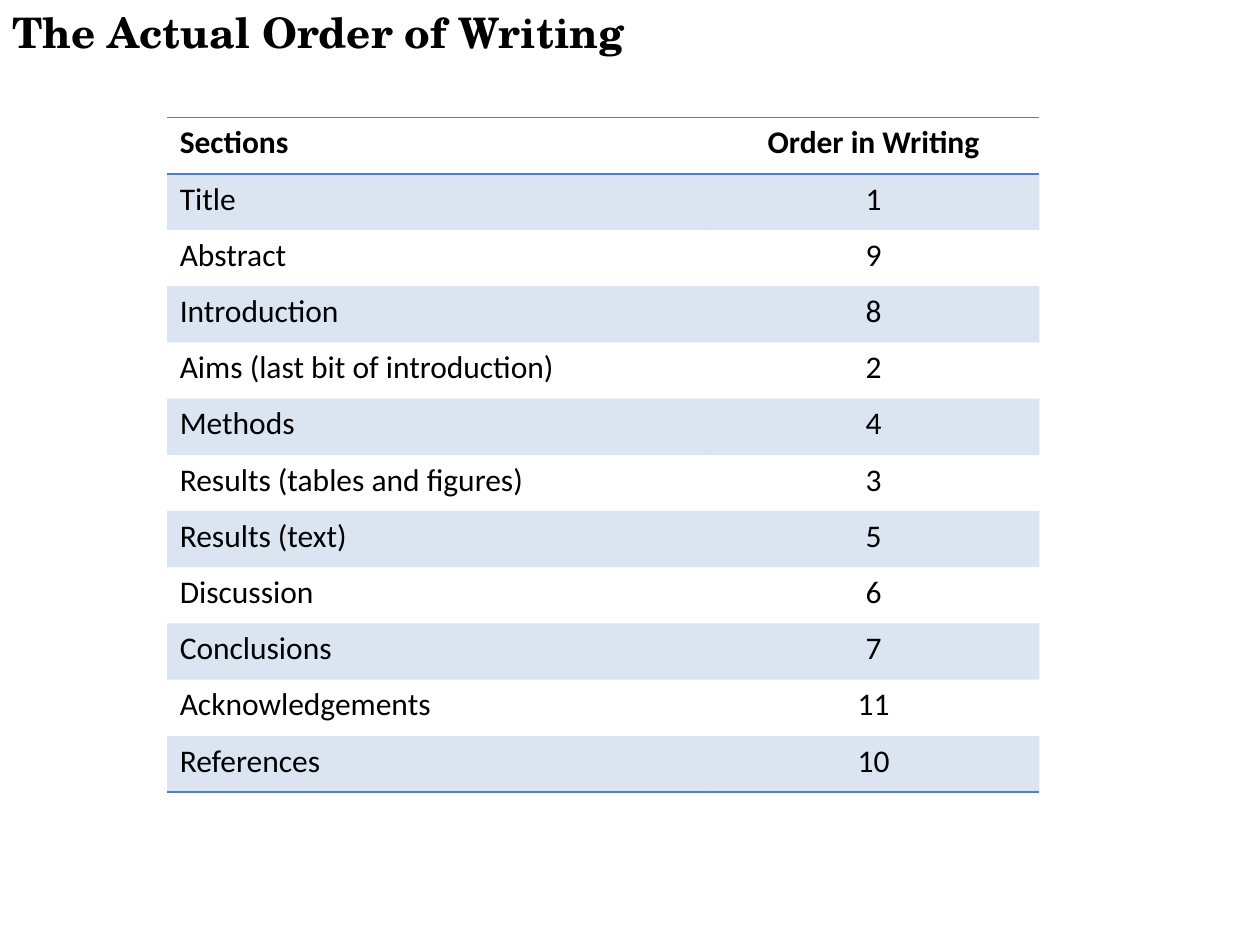
from dataclasses import dataclass

from lxml.etree import SubElement
from pptx import Presentation
from pptx.dml.color import RGBColor
from pptx.enum.text import MSO_ANCHOR as Anchor, PP_ALIGN as Align
from pptx.oxml.ns import qn
from pptx.util import Cm, Pt

COLORS = {"text": "000000", "accent": "4F81BD"}
TITLE_FONT = {"name": "TeX Gyre Schola", "size": Pt(24), "bold": True}
HEADER_FONT = {"name": "Calibri", "size": Pt(18), "bold": True}
BODY_FONT = {**HEADER_FONT, "bold": False}
COLUMN_WIDTHS = (Cm(10.9), Cm(6.68))
TABLE_HEIGHT = Cm(13.6)
BAND_ALPHA = 20
PLAIN_TABLE_STYLE = "{2D5ABB26-0587-4C30-8999-92F81FD0307C}"


@dataclass
class Section:
    name: str
    order: str


HEADER = Section("Sections", "Order in Writing")
SECTIONS = [
    Section("Title", "1"),
    Section("Abstract", "9"),
    Section("Introduction", "8"),
    Section("Aims (last bit of introduction)", "2"),
    Section("Methods", "4"),
    Section("Results (tables and figures)", "3"),
    Section("Results (text)", "5"),
    Section("Discussion", "6"),
    Section("Conclusions", "7"),
    Section("Acknowledgements", "11"),
    Section("References", "10"),
]


def format_paragraph(paragraph, font_values: dict, alignment) -> None:
    paragraph.alignment = alignment
    for attribute, value in font_values.items():
        setattr(paragraph.font, attribute, value)
    paragraph.font.color.rgb = RGBColor.from_string(COLORS["text"])


def add_border(cell, edge: str) -> None:
    line = SubElement(cell._tc.get_or_add_tcPr(), qn(f"a:{edge}"), w=str(Pt(1)))
    fill = SubElement(line, qn("a:solidFill"))
    SubElement(fill, qn("a:srgbClr"), val=COLORS["accent"])


def fill_band(cell) -> None:
    cell.fill.solid()
    cell.fill.fore_color.rgb = RGBColor.from_string(COLORS["accent"])
    color = cell._tc.tcPr.find(f"{qn('a:solidFill')}/{qn('a:srgbClr')}")
    SubElement(color, qn("a:alpha"), val=str(BAND_ALPHA * 1000))


def add_title(slide, text: str, width: int) -> None:
    title = slide.shapes.title
    placement = {"left": 0, "top": 0, "width": width, "height": Cm(1.27)}
    for attribute, value in placement.items():
        setattr(title, attribute, value)
    title.text_frame.text = text
    title.text_frame.vertical_anchor = Anchor.TOP
    format_paragraph(title.text_frame.paragraphs[0], TITLE_FONT, Align.LEFT)


def add_order_table(slide, rows: list[Section]) -> None:
    frame = slide.shapes.add_table(
        len(rows), len(COLUMN_WIDTHS), Cm(3.37), Cm(2.37),
        sum(COLUMN_WIDTHS), TABLE_HEIGHT,
    )
    table = frame.table
    table.first_row = table.horz_banding = False
    table._tbl.tblPr.find(qn("a:tableStyleId")).text = PLAIN_TABLE_STYLE
    for column, width in zip(table.columns, COLUMN_WIDTHS):
        column.width = width
    last = len(rows) - 1
    for index, section in enumerate(rows):
        edges = {0: ("lnT", "lnB"), last: ("lnB",)}.get(index, ())
        font_values = BODY_FONT if index else HEADER_FONT
        contents = ((section.name, Align.LEFT), (section.order, Align.CENTER))
        for cell, (text, alignment) in zip(table.rows[index].cells, contents):
            cell.text = text
            format_paragraph(cell.text_frame.paragraphs[0], font_values, alignment)
            for edge in edges:
                add_border(cell, edge)
            if index % 2:
                fill_band(cell)
            else:
                cell.fill.background()


def main() -> None:
    presentation = Presentation()
    presentation.slide_width, presentation.slide_height = Cm(25.4), Cm(19.05)
    slide = presentation.slides.add_slide(presentation.slide_layouts[5])
    add_title(slide, "The Actual Order of Writing", presentation.slide_width)
    add_order_table(slide, [HEADER, *SECTIONS])
    presentation.save("out.pptx")


if __name__ == "__main__":
    main()
